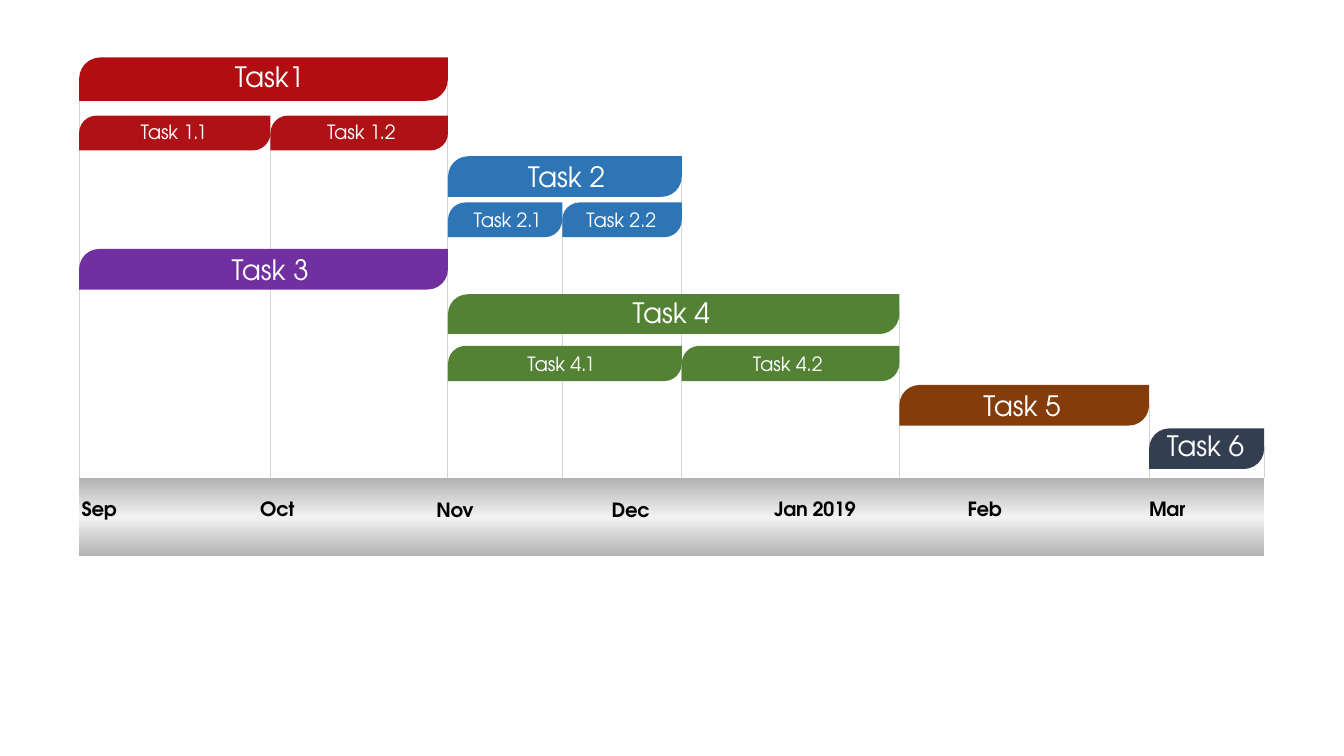
"""Build a Gantt timeline slide with task bars above a month axis."""
from copy import deepcopy

from lxml import etree
from pptx import Presentation
from pptx.dml.color import RGBColor
from pptx.enum.shapes import MSO_CONNECTOR, MSO_SHAPE
from pptx.enum.text import MSO_ANCHOR, MSO_AUTO_SIZE, PP_ALIGN
from pptx.oxml.ns import qn
from pptx.util import Pt

STRAIGHT = MSO_CONNECTOR.STRAIGHT
RECTANGLE = MSO_SHAPE.RECTANGLE
BAR = MSO_SHAPE.ROUND_2_DIAG_RECTANGLE
MIDDLE = MSO_ANCHOR.MIDDLE
GROW, FIXED = MSO_AUTO_SIZE.SHAPE_TO_FIT_TEXT, MSO_AUTO_SIZE.NONE
LEFT, CENTER = PP_ALIGN.LEFT, PP_ALIGN.CENTER

COLORS = {
    "red": "B20E12", "dark red": "AF1216", "blue": "2E75B6",
    "purple": "7030A0", "green": "548235", "brown": "843C0B",
    "slate": "333F50", "grid": "D5D4D3", "axis edge": "B2B2B2",
    "axis middle": "F2F2F2", "white": "FFFFFF", "black": "000000",
}

EDGES = [56.5, 193.2, 320, 401.6, 487, 642.4, 820.8, 903]
GRID_TOPS = [56.9, 95, 59.8, 156.2, 126, 222.5, 289.4, 319]
AXIS_TOP, AXIS_HEIGHT = 341.3, 56.2
MONTH_HEIGHT = 12.2

TASKS = [
    ("Task1", "red", 0, 2, 41, 31, 192.6, 54.7),
    ("Task 2", "blue", 2, 4, 111.6, 29, 404.6, 126),
    ("Task 3", "purple", 0, 2, 177.8, 29, 193, 192.2),
    ("Task 4", "green", 2, 5, 210.2, 28.4, 479.5, 223.2),
    ("Task 5", "brown", 5, 6, 275, 29, 730, 289.4),
    ("Task 6", "slate", 6, 7, 306, 29, 861.1, 318.2),
]
SUBTASKS = [
    ("Task 1.1", "dark red", 0, 1, 82.6, 24.8, 124.2, 94.3),
    ("Task 1.2", "dark red", 1, 2, 82.6, 24.8, 258.1, 94.3),
    ("Task 2.1", "blue", 2, 3, 144.6, 24.8, 362.5, 157),
    ("Task 2.2", "blue", 3, 4, 144.6, 24.8, 443.9, 157),
    ("Task 4.1", "green", 2, 4, 247, 25.2, 401, 259.9),
    ("Task 4.2", "green", 4, 5, 247, 25.2, 562.7, 259.9),
]
MONTHS = [
    ("Sep", 58.3, 357.1), ("Oct", 185.8, 357.1), ("Nov", 311.8, 357.8),
    ("Dec", 437, 357.8), ("Jan 2019", 553, 357.1), ("Feb", 691.2, 357.1),
    ("Mar", 820.8, 357.1),
]


class TimelineSlide:
    """Hold the style and the slide that receives the timeline elements."""

    font = "TeX Gyre Adventor"

    def __init__(self, slide):
        """Keep the slide to draw on."""
        self.slide = slide

    def color(self, name):
        """Return the named colour."""
        return RGBColor.from_string(COLORS[name])

    def shape(self, kind, left, top, width, height):
        """Add a preset shape without outline or shadow."""
        shape = self.slide.shapes.add_shape(
            kind, Pt(left), Pt(top), Pt(width), Pt(height))
        shape.shadow.inherit = False
        shape.line.fill.background()
        return shape

    def grid_line(self, x, top):
        """Add a vertical line from the given top down to the axis."""
        line = self.slide.shapes.add_connector(
            STRAIGHT, Pt(x), Pt(top), Pt(x), Pt(AXIS_TOP))
        line.line.color.rgb = self.color("grid")
        line.line.width = Pt(0.75)
        etree.SubElement(line._element.spPr, qn("a:effectLst"))

    def axis(self):
        """Add the month band with its three-stop vertical gradient."""
        band = self.shape(RECTANGLE, EDGES[0], AXIS_TOP,
                          EDGES[-1] - EDGES[0], AXIS_HEIGHT)
        band.fill.gradient()
        band.fill.gradient_angle = 270
        stop_list = band._element.spPr.find(".//" + qn("a:gsLst"))
        stop_list.append(deepcopy(stop_list[0]))
        stops = [(0, "axis edge"), (0.5, "axis middle"), (1, "axis edge")]
        for stop, (position, name) in zip(band.fill.gradient_stops, stops):
            stop.position = position
            stop.color.rgb = self.color(name)

    def text(self, text, left, top, width, height, size, color,
             alignment=CENTER, bold=False, wrap=True, spacing=-10):
        """Add a one-line text box without margins."""
        box = self.slide.shapes.add_textbox(
            Pt(left), Pt(top), Pt(width), Pt(height))
        frame = box.text_frame
        frame.margin_left = frame.margin_right = Pt(0)
        frame.margin_top = frame.margin_bottom = Pt(0)
        frame.vertical_anchor = MIDDLE
        frame.word_wrap = wrap
        frame.auto_size = GROW if wrap else FIXED
        paragraph = frame.paragraphs[0]
        paragraph.alignment = alignment
        paragraph.font.name = self.font
        paragraph.font.size = Pt(size)
        paragraph.font.bold = bold
        paragraph.font.color.rgb = self.color(color)
        run = paragraph.add_run()
        run.text = text
        run._r.get_or_add_rPr().set("spc", str(spacing))

    def bar(self, text, color, start, end, top, height, center_x, center_y,
            size, label_width, label_height):
        """Add a task bar between two grid edges, with its label."""
        left = EDGES[start]
        bar = self.shape(BAR, left, top, EDGES[end] - left, height)
        bar.adjustments[0] = 0.5
        bar.adjustments[1] = 0
        bar.fill.solid()
        bar.fill.fore_color.rgb = self.color(color)
        self.text(text, center_x - label_width / 2,
                  center_y - label_height / 2, label_width, label_height,
                  size, "white")

    def month(self, text, left, top):
        """Add a month name on the axis."""
        self.text(text, left, top, 20, MONTH_HEIGHT, 14, "black",
                  alignment=LEFT, bold=True, wrap=False, spacing=-20)


presentation = Presentation()
presentation.slide_width, presentation.slide_height = Pt(960), Pt(540)
timeline = TimelineSlide(
    presentation.slides.add_slide(presentation.slide_layouts[6]))
for x, top in zip(EDGES, GRID_TOPS):
    timeline.grid_line(x, top)
timeline.axis()
for month in MONTHS:
    timeline.month(*month)
for task in TASKS:
    timeline.bar(*task, size=20, label_width=85, label_height=24.5)
for subtask in SUBTASKS:
    timeline.bar(*subtask, size=14, label_width=60, label_height=17.3)
presentation.save("out.pptx")
